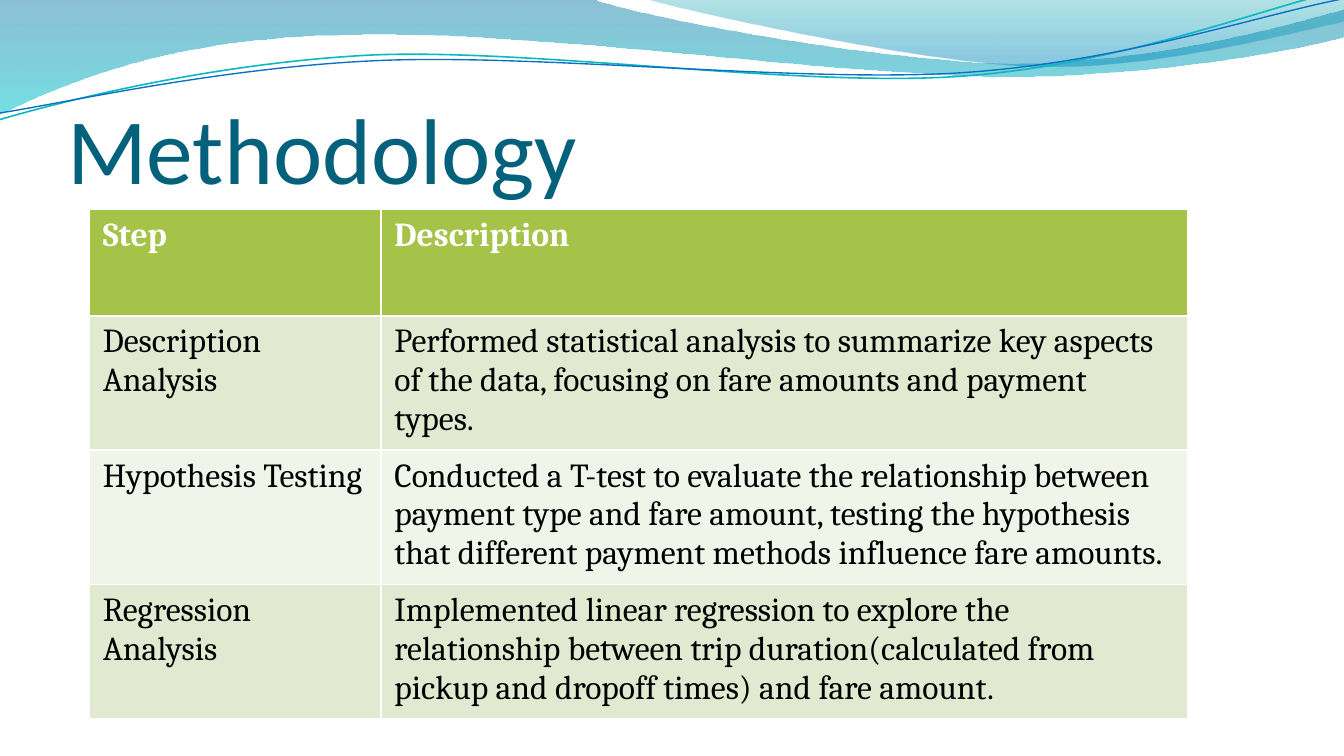
import pptx
import pptx.util
import pptx.dml.color
import pptx.enum.text
import pptx.oxml
import pptx.oxml.ns

Cm, Pt = pptx.util.Cm, pptx.util.Pt
RGB = pptx.dml.color.RGBColor
qn = pptx.oxml.ns.qn
WHITE, BLACK = RGB(255, 255, 255), RGB(0, 0, 0)
NAVY = RGB(0x04, 0x61, 0x7B)
GREEN, SAGE, PALE = RGB(0xA5, 0xC2, 0x49), RGB(0xE1, 0xE9, 0xD0), RGB(0xF0, 0xF4, 0xE9)
TEAL, BLUE = RGB(0x0A, 0xB8, 0xBF), RGB(0x0F, 0x6F, 0xC6)
DEEP, AQUA = RGB(0x00, 0x74, 0xA1), RGB(0x00, 0xC6, 0xCF)
SEA, SKY = RGB(0x00, 0xA1, 0xA9), RGB(0x00, 0x8B, 0xBF)

# Content
TITLE = "Methodology"
ROWS = [
    ("Step", "Description"),
    ("Description Analysis",
     "Performed statistical analysis to summarize key aspects of the data, "
     "focusing on fare amounts and payment types."),
    ("Hypothesis Testing",
     "Conducted a T-test to evaluate the relationship between payment type and fare amount, "
     "testing the hypothesis that different payment methods influence fare amounts."),
    ("Regression Analysis",
     "Implemented linear regression to explore the relationship between trip duration"
     "(calculated from pickup and dropoff times) and fare amount."),
]
COLS = (5.51, 15.24)
HIGH = 2.01

# Waves: a start point, then lines (2 numbers) and Bezier curves (6), in units of 2.54 cm
UNIT = 2.54
BANDS = [
    ([(0, 0), (4.4, -0.01),
      (4.76, 0.13, 6.64, 0.47, 7.58, 0.47), (8.53, 0.47, 9.58, 0.19, 10, 0.07),
      (10.01, 0.27),
      (9.83, 0.33, 8.7, 0.57, 7.46, 0.57), (6.22, 0.56, 3.82, 0.21, 2.57, 0.26),
      (1.29, 0.27, 0.46, 0.62, -0.01, 0.85)],
     [(0, DEEP, 45), (100, AQUA, 55)]),
    ([(4.79, -0.01),
      (5.09, 0.08, 6.82, 0.46, 7.69, 0.49), (8.56, 0.52, 9.61, 0.24, 10, 0.16),
      (10, 0)],
     [(0, SEA, 30), (80, SKY, 45)]),
]
LINES = [
    ([(0, 0.89), (0.48, 0.75, 1.58, 0.47, 2.77, 0.41),
      (3.96, 0.36, 5.92, 0.65, 7.12, 0.57), (8.33, 0.49, 9.39, 0.06, 9.98, -0.07)],
     TEAL, 0.85),
    ([(0, 0.84), (0.47, 0.77, 1.64, 0.5, 2.83, 0.45),
      (4.03, 0.4, 5.97, 0.62, 7.17, 0.54), (8.36, 0.46, 9.41, 0.1, 10, -0.01)],
     BLUE, 0.75),
]


def draw(slide, segs, close):
    """Lay all points as lines, then join each curve's three into one Bezier."""
    dots = [(Cm(seg[i] * UNIT), Cm(seg[i + 1] * UNIT))
            for seg in segs for i in range(0, len(seg), 2)]
    pen = slide.shapes.build_freeform(*dots[0], scale=1.0)
    pen.add_line_segments(dots[1:], close=close)
    shape = pen.convert_to_shape()
    shape.shadow.inherit = False
    steps = iter(list(shape._element.iter(qn("a:lnTo"))))
    for seg in segs[1:]:
        first = next(steps)
        if len(seg) == 6:
            bend = pptx.oxml.parse_xml(f'<a:cubicBezTo {pptx.oxml.ns.nsdecls("a")}/>')
            first.addprevious(bend)
            for step in (first, next(steps), next(steps)):
                bend.append(step[0])
                step.getparent().remove(step)
    return shape


def blend(shape, stops):
    """Fill with a see-through gradient running downward."""
    parts = "".join(
        f'<a:gs pos="{pos * 1000}"><a:srgbClr val="{tone}">'
        f'<a:alpha val="{alpha * 1000}"/></a:srgbClr></a:gs>'
        for pos, tone, alpha in stops)
    fill = pptx.oxml.parse_xml(
        f'<a:gradFill {pptx.oxml.ns.nsdecls("a")} rotWithShape="1"><a:gsLst>{parts}</a:gsLst>'
        '<a:lin ang="5400000" scaled="0"/></a:gradFill>')
    shape.fill.background()
    props = shape._element.spPr
    props.replace(props.find(qn("a:noFill")), fill)
    shape.line.fill.background()


def write(frame, text, size=18, font="Cambria", color=BLACK, bold=False):
    frame.word_wrap = True
    run = frame.paragraphs[0].add_run()
    run.text = text
    run.font.size, run.font.name, run.font.bold = Pt(size), font, bold
    run.font.color.rgb = color


deck = pptx.Presentation()
deck.slide_width, deck.slide_height = Cm(25.4), Cm(14.29)
slide = deck.slides.add_slide(deck.slide_layouts[6])

# Waves along the top
for segs, stops in BANDS:
    blend(draw(slide, segs, True), stops)
for segs, tone, width in LINES:
    curve = draw(slide, segs, False)
    curve.fill.background()
    curve.line.color.rgb, curve.line.width = tone, Pt(width)

# Title
frame = slide.shapes.add_textbox(Cm(1.27), Cm(1.46), Cm(22.86), Cm(2.39)).text_frame
frame.margin_left = frame.margin_right = frame.margin_bottom = 0
frame.vertical_anchor = pptx.enum.text.MSO_ANCHOR.BOTTOM
write(frame, TITLE, size=50, font="Calibri", color=NAVY)

# Table of steps; its built-in style gives the white rules
grid = slide.shapes.add_table(len(ROWS), len(COLS), Cm(1.69), Cm(3.96),
                              Cm(sum(COLS)), Cm(HIGH * len(ROWS))).table
for col, width in zip(grid.columns, COLS):
    col.width = Cm(width)
for r, row in enumerate(ROWS):
    grid.rows[r].height = Cm(HIGH)
    head = r == 0
    for c, text in enumerate(row):
        cell = grid.cell(r, c)
        cell.fill.solid()
        cell.fill.fore_color.rgb = GREEN if head else SAGE if r % 2 else PALE
        write(cell.text_frame, text, color=WHITE if head else BLACK, bold=head)

deck.save("out.pptx")
